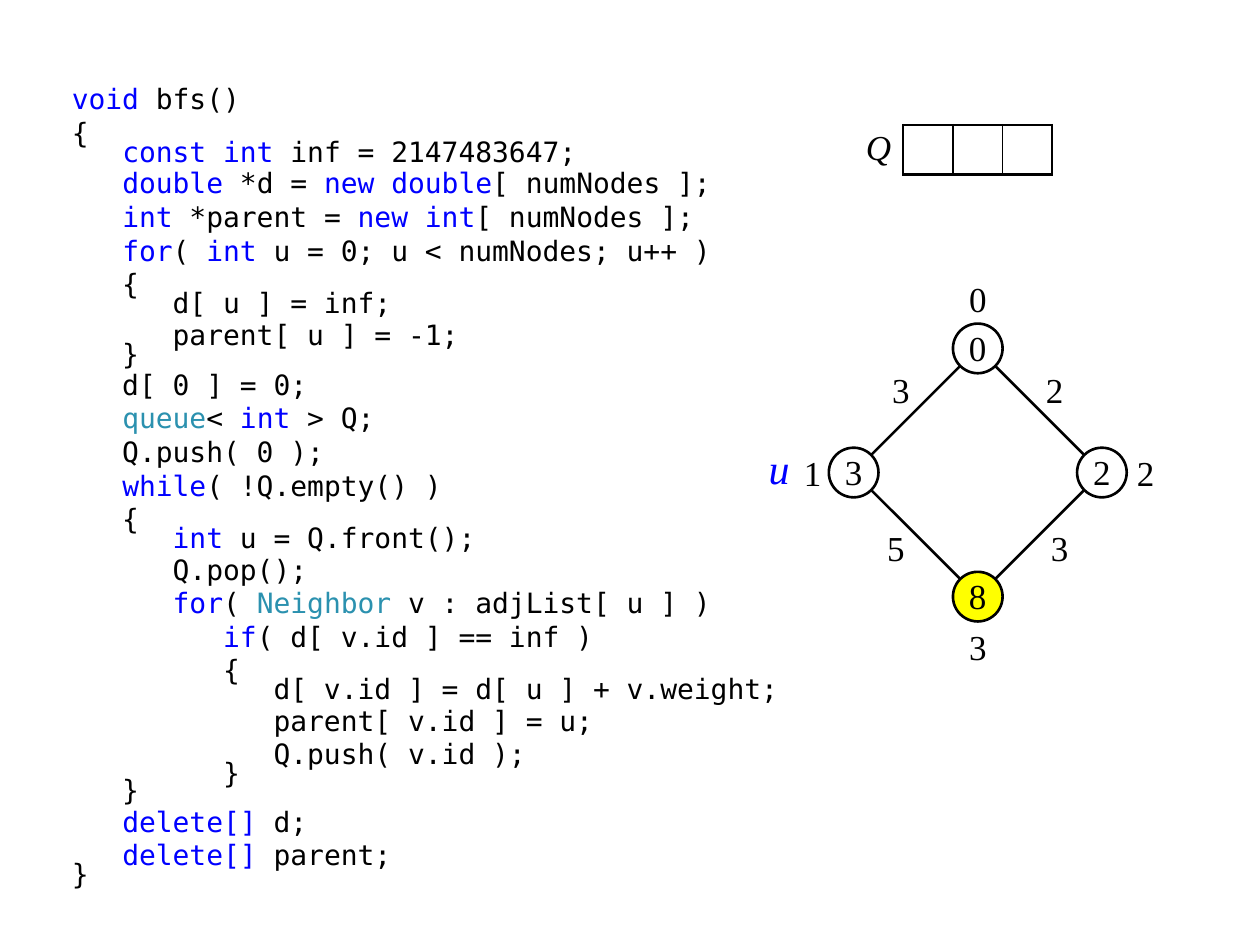
from typing import Any, NamedTuple

from lxml.etree import SubElement
from pptx import Presentation
from pptx.dml.color import RGBColor
from pptx.enum.shapes import MSO_CONNECTOR, MSO_SHAPE
from pptx.enum.text import MSO_ANCHOR, MSO_AUTO_SIZE, PP_ALIGN
from pptx.oxml.ns import qn
from pptx.util import Inches, Pt

HUES = {"ink": "000000", "word": "0000FF", "type": "2B91AF",
        "paper": "FFFFFF", "mark": "FFFF00"}
MONO, SERIF = "DejaVu Sans Mono", "Times New Roman"
TYPES = {"queue", "Neighbor"}

# The graph and the queue lie on a square grid around the hub of the graph
UNIT = 0.394
HUB = (7.76, 3.75)
ARM = 2.5

# Back-ticks set off the coloured words
CODE = """`void` bfs()
{
   `const int` inf = 2147483647;
   `double` *d = `new double`[ numNodes ];
   `int` *parent = `new int`[ numNodes ];
   `for`( `int` u = 0; u < numNodes; u++ )
   {
      d[ u ] = inf;
      parent[ u ] = -1;
   }
   d[ 0 ] = 0;
   `queue`< `int` > Q;
   Q.push( 0 );
   `while`( !Q.empty() )
   {
      `int` u = Q.front();
      Q.pop();
      `for`( `Neighbor` v : adjList[ u ] )
         `if`( d[ v.id ] == inf )
         {
            d[ v.id ] = d[ u ] + v.weight;
            parent[ v.id ] = u;
            Q.push( v.id );
         }
   }
   `delete[]` d;
   `delete[]` parent;
}"""


class Node(NamedTuple):
    text: str
    col: float
    row: float
    fill: str = "paper"


class Label(NamedTuple):
    text: str
    col: float
    row: float
    pads: tuple[float, float, float, float] = (0.1, 0.05, 0.1, 0.05)
    align: PP_ALIGN = PP_ALIGN.CENTER
    span: float = 1
    lead: float = 1
    size: int = 20
    hue: str = "ink"
    slant: bool = False


NODES = [Node("0", 0, -ARM), Node("3", -ARM, 0),
         Node("8", 0, ARM, "mark"), Node("2", ARM, 0)]
EDGES = [(0, 1), (0, 3), (1, 2), (3, 2)]
OUT, MID = ARM + 1, 1.75
LABELS = [
    # Node numbers
    Label("1", -OUT, 0, (0.1, 0.05, 0.06, 0.05), PP_ALIGN.RIGHT),
    Label("2", OUT, 0, (0.08, 0.05, 0.1, 0.05), PP_ALIGN.LEFT),
    Label("3", 0, OUT),
    Label("0", 0, -OUT),
    # Edge weights
    Label("3", -MID, -MID, (0.16, 0.16, 0, 0), span=1.5, lead=0.6),
    Label("2", MID, -MID, (0, 0.16, 0.16, 0), span=1.5, lead=0.6),
    Label("5", -MID, MID, (0.08, 0, 0, 0.08), span=1.5, lead=0.6),
    Label("3", MID, MID, (0, 0, 0.08, 0.08), span=1.5, lead=0.6),
    # Current node
    Label("u", -OUT - 0.5, 0, (0.1, 0, 0.1, 0.08), size=24, hue="word",
          slant=True),
]


def tint(hue: str) -> RGBColor:
    return RGBColor.from_string(HUES[hue])


def apply(item: Any, form: dict[str, Any]) -> None:
    for key, val in form.items():
        setattr(item, key, val)


def style(font: Any, hue: str = "ink", **form: Any) -> None:
    apply(font, form)
    font.color.rgb = tint(hue)


def place(col: float, row: float) -> tuple[int, int]:
    return Inches(HUB[0] + col * UNIT), Inches(HUB[1] + row * UNIT)


def frame(col: float, row: float, span: float = 1) -> tuple[int, ...]:
    """Left, top, width and height of a square centred on a grid point."""
    half = span / 2
    return *place(col - half, row - half), Inches(span * UNIT), Inches(span * UNIT)


def write(shape: Any, label: Label) -> None:
    box = shape.text_frame
    sides = ("left", "top", "right", "bottom")
    apply(box, {f"margin_{side}": Inches(pad)
                for side, pad in zip(sides, label.pads)})
    apply(box, {"word_wrap": False, "vertical_anchor": MSO_ANCHOR.MIDDLE})
    para = box.paragraphs[0]
    para.text = label.text
    apply(para, {"alignment": label.align, "line_spacing": label.lead})
    style(para.runs[0].font, label.hue, name=SERIF, size=Pt(label.size),
          italic=label.slant)


def draw_code(body: Any) -> None:
    apply(body, {"left": Inches(0.47), "top": Inches(0.6),
                 "width": Inches(5.91), "height": Inches(6.5)})
    box = body.text_frame
    apply(box, {"word_wrap": True, "auto_size": MSO_AUTO_SIZE.NONE,
                "vertical_anchor": MSO_ANCHOR.TOP})
    last = ""
    for num, line in enumerate(CODE.splitlines()):
        para = box.add_paragraph() if num else box.paragraphs[0]
        props = para._p.get_or_add_pPr()
        props.set("marL", str(Inches(0.38)))
        props.set("indent", str(-Inches(0.38)))
        SubElement(props, qn("a:buNone"))
        # Lines after an opening brace and closing braces sit close
        tight = last == "{" or line.strip() == "}"
        apply(para, {"space_before": Pt(0), "line_spacing": 0.5 if tight else 1.0})
        for part, text in enumerate(line.split("`")):
            if text:
                run = para.add_run()
                run.text = text
                hue = "type" if text in TYPES else "word" if part % 2 else "ink"
                style(run.font, hue, name=MONO, size=Pt(16))
        last = line.strip()


def draw_edge(shapes: Any, tail: Node, head: Node) -> None:
    edge = shapes.add_connector(MSO_CONNECTOR.STRAIGHT,
                                *place(tail.col, tail.row),
                                *place(head.col, head.row))
    edge.line.color.rgb = tint("ink")
    edge.line.width = Pt(1.5)
    SubElement(edge._element.spPr, qn("a:effectLst"))


def draw_node(shapes: Any, node: Node) -> None:
    disc = shapes.add_shape(MSO_SHAPE.OVAL, *frame(node.col, node.row))
    disc.shadow.inherit = False
    disc.fill.solid()
    disc.fill.fore_color.rgb = tint(node.fill)
    disc.line.color.rgb = tint("ink")
    disc.line.width = Pt(1.5)
    write(disc, Label(node.text, node.col, node.row, (0.1, 0, 0.1, 0.02)))


def rule(cell: Any, widths: dict[str, float]) -> None:
    props = cell._tc.get_or_add_tcPr()
    for spot, side in enumerate("LRTB"):
        wide = widths.get(side, 0)
        line = props.makeelement(qn(f"a:ln{side}"), {"w": str(Pt(wide))})
        props.insert(spot, line)
        fill = SubElement(line, qn("a:solidFill" if wide else "a:noFill"))
        if wide:
            SubElement(fill, qn("a:srgbClr"), val=HUES["ink"])


def draw_queue(shapes: Any, slots: int = 3) -> None:
    size = Inches(UNIT)
    table = shapes.add_table(1, slots + 1, *place(-ARM, -7),
                             size * (slots + 1), size).table
    apply(table, {"first_row": False, "horz_banding": False})
    table.rows[0].height = size
    for num, cell in enumerate(table.iter_cells()):
        table.columns[num].width = size
        apply(cell, {"margin_left": 0, "margin_right": 0, "margin_top": 0,
                     "margin_bottom": Inches(0.02),
                     "vertical_anchor": MSO_ANCHOR.MIDDLE})
        cell.fill.background()
        if num:
            rule(cell, {"L": 1.5 if num == 1 else 1, "T": 1.5,
                        "R": 1.5 if num == slots else 1, "B": 1.5})
        else:
            rule(cell, {"R": 1.5})
            para = cell.text_frame.paragraphs[0]
            para.text = "Q"
            para.alignment = PP_ALIGN.CENTER
            style(para.runs[0].font, name=SERIF, size=Pt(20), italic=True)


def main() -> None:
    deck = Presentation()
    apply(deck, {"slide_width": Inches(10), "slide_height": Inches(7.5)})
    slide = deck.slides.add_slide(deck.slide_layouts[1])
    shapes = slide.shapes
    title = shapes.title._element
    title.getparent().remove(title)

    draw_code(slide.placeholders[1])
    for tail, head in EDGES:
        draw_edge(shapes, NODES[tail], NODES[head])
    for node in NODES:
        draw_node(shapes, node)
    for label in LABELS:
        write(shapes.add_textbox(*frame(label.col, label.row, label.span)), label)
    draw_queue(shapes)
    deck.save("out.pptx")


if __name__ == "__main__":
    main()
